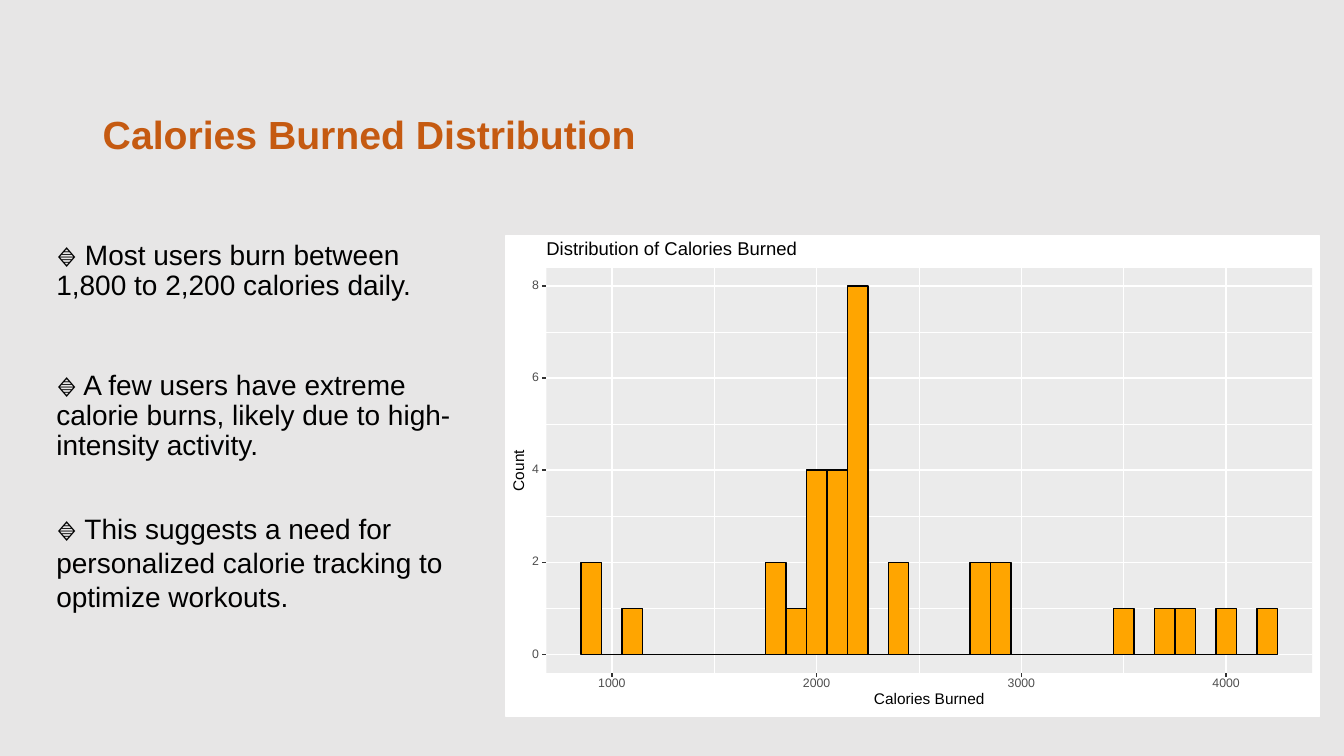
from lxml import etree
from pptx import Presentation
from pptx.dml.color import RGBColor
from pptx.enum.shapes import MSO_CONNECTOR, MSO_SHAPE
from pptx.enum.text import MSO_ANCHOR, PP_ALIGN
from pptx.oxml.ns import qn
from pptx.util import Cm, Pt

TITLE = "Calories Burned Distribution"
POINTS = [  # text, line pitch, space before (points)
    ("🔹 Most users burn between 1,800 to 2,200 calories daily.", 21.5, 0),
    ("🔹 A few users have extreme calorie burns, likely due to "
     "high-intensity activity.", 21.5, 50),
    ("🔹 This suggests a need for personalized calorie tracking to "
     "optimize workouts.", 24.3, 36),
]
HEAD, X_NAME, Y_NAME = "Distribution of Calories Burned", "Calories Burned", "Count"
COUNTS = {900: 2, 1100: 1, 1800: 2, 1900: 1, 2000: 4, 2100: 4, 2200: 8,
          2400: 2, 2800: 2, 2900: 2, 3500: 1, 3700: 1, 3800: 1, 4000: 1, 4200: 1}
BIN = 100
X_MAJOR, X_MINOR = range(1000, 4001, 1000), range(1500, 3501, 1000)
Y_MAJOR, Y_MINOR = range(0, 9, 2), range(1, 8, 2)

GREY = RGBColor(0xE7, 0xE6, 0xE6)
RUST = RGBColor(0xC5, 0x5A, 0x11)
BLACK = RGBColor(0, 0, 0)
WHITE = RGBColor(0xFF, 0xFF, 0xFF)
PANEL = RGBColor(0xEB, 0xEB, 0xEB)
ORANGE = RGBColor(0xFF, 0xA5, 0)
TICK = RGBColor(0x33, 0x33, 0x33)
LABEL = RGBColor(0x4D, 0x4D, 0x4D)
FONT = "Arial"
THIN, THICK = 0.53, 1.07
RECT, STRAIGHT = MSO_SHAPE.RECTANGLE, MSO_CONNECTOR.STRAIGHT
TOP, MIDDLE = MSO_ANCHOR.TOP, MSO_ANCHOR.MIDDLE
LEFT, CENTER = PP_ALIGN.LEFT, PP_ALIGN.CENTER

# Plot panel and scales, in cm
L, T, W, H = 13.77, 6.76, 19.3, 10.2
R, B = L + W, T + H
X_ZERO, X_UNIT = 10.26, 0.00516
Y_ZERO, Y_UNIT = 16.49, 1.16
TICK_LEN = 0.1

deck = Presentation()
deck.slide_width, deck.slide_height = Cm(33.87), Cm(19.05)
slide = deck.slides.add_slide(deck.slide_layouts[6])
slide.background.fill.solid()
slide.background.fill.fore_color.rgb = GREY


def px(val):
    """Calories to cm across the slide."""
    return X_ZERO + val * X_UNIT


def py(num):
    """Count to cm down the slide."""
    return Y_ZERO - num * Y_UNIT


def style(para, size, color, pitch, align=LEFT, bold=False):
    font = para.font
    font.name, font.size, font.bold = FONT, Pt(size), bold
    font.color.rgb = color
    para.line_spacing, para.alignment = pitch, align


def block(x, y, w, h, anchor):
    """Add a wrapping text box and return its frame."""
    frame = slide.shapes.add_textbox(Cm(x), Cm(y), Cm(w), Cm(h)).text_frame
    frame.word_wrap, frame.vertical_anchor = True, anchor
    return frame


frame = block(2.34, 1.8, 27.46, 3.28, MIDDLE)
frame.text = TITLE
style(frame.paragraphs[0], 28, RUST, 0.9, bold=True)

frame = block(1.17, 5.94, 10.8, 12.12, TOP)
for i, (text, pitch, gap) in enumerate(POINTS):
    para = frame.add_paragraph() if i else frame.paragraphs[0]
    para.text = text
    para.space_before = Pt(gap)
    style(para, 20, BLACK, Pt(pitch))

chart = slide.shapes.add_group_shape().shapes


def rect(x, y, w, h, fill, edge=None):
    box = chart.add_shape(RECT, Cm(x), Cm(y), Cm(w), Cm(h))
    box.shadow.inherit = False
    box.fill.solid()
    box.fill.fore_color.rgb = fill
    if edge is None:
        box.line.fill.background()
    else:
        box.line.color.rgb, box.line.width = edge, Pt(THICK)


def line(x1, y1, x2, y2, color, width):
    rule = chart.add_connector(STRAIGHT, Cm(x1), Cm(y1), Cm(x2), Cm(y2))
    rule.line.color.rgb, rule.line.width = color, Pt(width)
    etree.SubElement(rule._element.spPr, qn("a:effectLst"))


def label(text, x, y, w, size, color, align=CENTER, turn=0):
    """Add a one-line label centred on (x, y)."""
    h = size * 0.025
    box = chart.add_textbox(Cm(x - w / 2), Cm(y - h / 2), Cm(w), Cm(h))
    box.rotation = turn
    frame = box.text_frame
    frame.margin_left = frame.margin_right = 0
    frame.margin_top = frame.margin_bottom = 0
    frame.word_wrap, frame.vertical_anchor = False, MIDDLE
    frame.text = text
    style(frame.paragraphs[0], size, color, Pt(size), align)


rect(12.75, 5.94, 20.5, 12.12, WHITE, WHITE)
rect(L, T, W, H, PANEL)

for xs, ys, width in ((X_MINOR, Y_MINOR, THIN), (X_MAJOR, Y_MAJOR, THICK)):
    for num in ys:
        line(L, py(num), R, py(num), WHITE, width)
    for val in xs:
        line(px(val), B, px(val), T, WHITE, width)

for val in range(min(COUNTS), max(COUNTS) + BIN, BIN):
    num = COUNTS.get(val, 0)
    rect(px(val - BIN / 2), py(num), BIN * X_UNIT, num * Y_UNIT, ORANGE, BLACK)

for num in Y_MAJOR:
    label(str(num), 13.5, py(num), 0.18, 8.8, LABEL)
    line(L - TICK_LEN, py(num), L, py(num), TICK, THICK)
for val in X_MAJOR:
    label(str(val), px(val), 17.23, 0.69, 8.8, LABEL)
    line(px(val), B + TICK_LEN, px(val), B, TICK, THICK)

label(X_NAME, L + W / 2, 17.64, 2.8, 11, BLACK)
label(Y_NAME, 13.09, T + H / 2, 1.04, 11, BLACK, turn=270)
label(HEAD, L + 3.16, 6.3, 6.32, 13.2, BLACK, LEFT)

deck.save("out.pptx")
